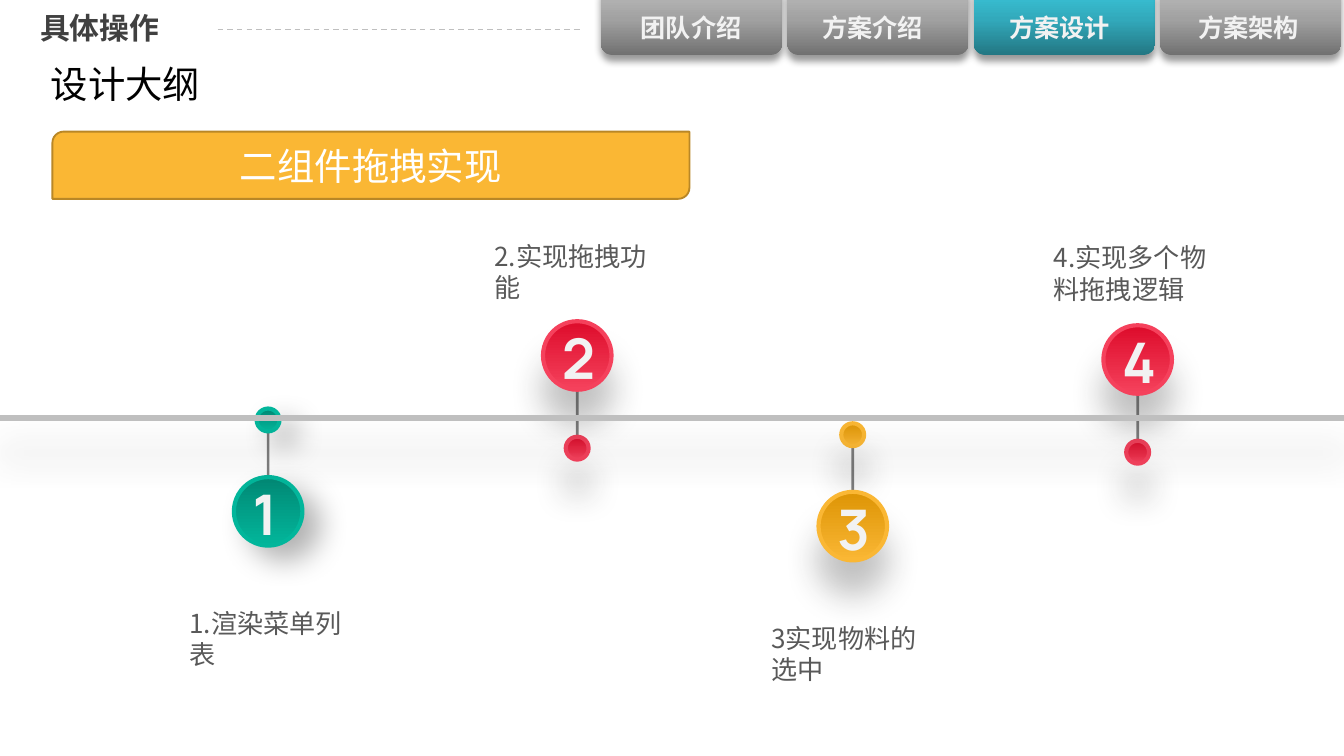
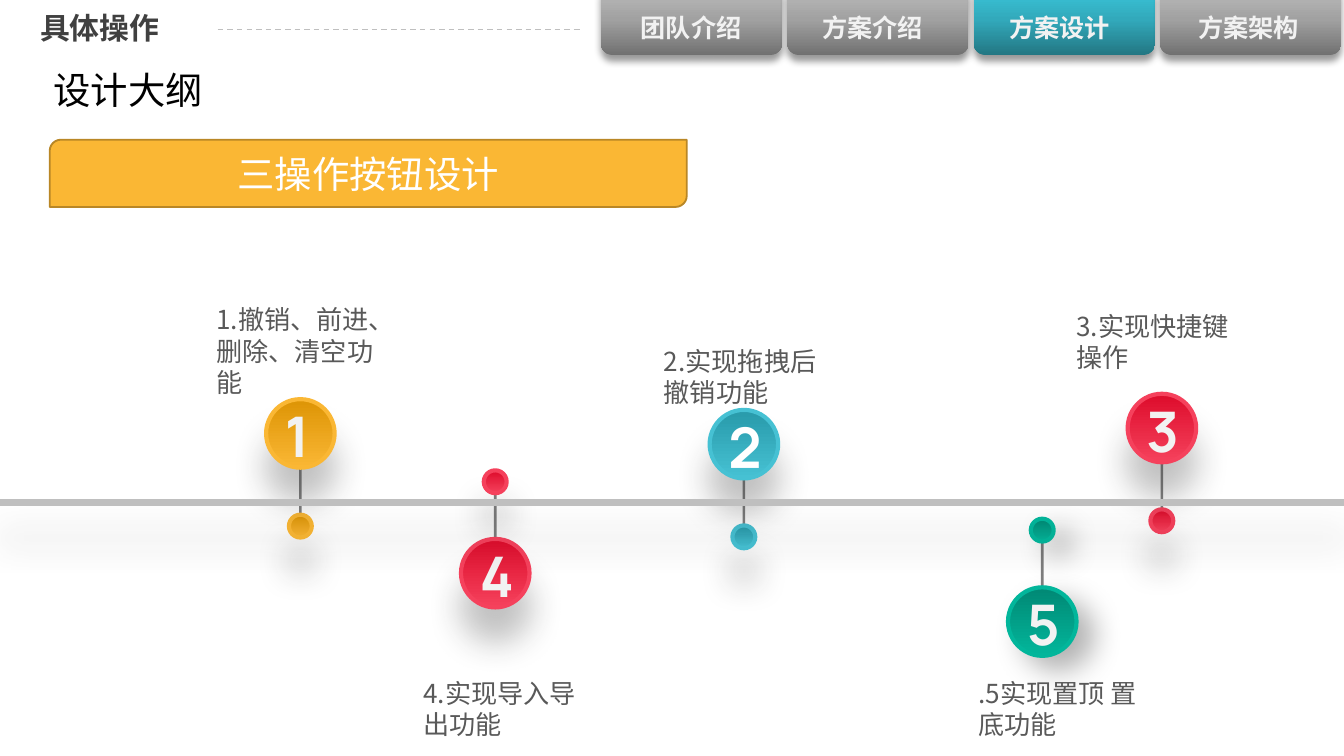
from dataclasses import dataclass

from lxml import etree
from pptx import Presentation
from pptx import util as u
from pptx.dml.color import RGBColor
from pptx.enum import dml, shapes, text
from pptx.oxml.ns import qn

WIDTH, HEIGHT = u.Inches(10), u.Inches(5.625)
COLUMNS = 100
CELL = WIDTH / COLUMNS
CJK = "Noto Sans CJK SC"


@dataclass(frozen=True)
class Hue:
    dark: str
    light: str
    digit: str = "F2F2F2"
    shadow: tuple = ("262626", 28, 18, 18, 90)


@dataclass(frozen=True)
class Type:
    size: float
    color: str
    face: str = CJK
    bold: bool = False


class Theme:
    red = Hue("DD0C2B", "F5415C")
    green = Hue("018874", "02B69B", shadow=("000000", 29, 16, 11, 40))
    amber = Hue("DD9405", "FAB734")
    blue = Hue("289AAA", "46C1D3", digit="FFFFFF")
    tab_idle = ("717171", "A1A1A1", "BFBFBF")
    tab_active = ("237783", "32A9BB", "3BC9DE")
    tab_shadow = ("000000", 40, 4, 3, 90)
    rail = "BFBFBF"
    stem = "808080"
    banner_edge = "B98726"
    title = Type(16, "404040", bold=True)
    tab = Type(13.5, "F2F2F2", bold=True)
    heading = Type(20, "000000")
    banner = Type(20, "FFFFFF", "Calibri")
    caption = Type(14, "595959")


TABS = [("团队介绍", 46.7), ("方案介绍", 60.2), ("方案设计", 74.1), ("方案架构", 88.2)]
ACTIVE_TAB = "方案设计"

SLIDES = [
    {
        "heading": (2.8, 4.1),
        "banner": (3.9, 9.8, "二组件拖拽实现"),
        "rail": 31,
        "steps": [
            ("2", Theme.red, 40.4, 23.9, True, (35.8, 17.4, "2.实现拖拽功能")),
            ("1", Theme.green, 17.4, 35.5, False, (13.1, 44.7, "1.渲染菜单列表")),
            ("3", Theme.amber, 60.9, 36.6, False, (56.4, 45.8, "3实现物料的选中")),
            ("4", Theme.red, 82.1, 24.2, True, (77.4, 17.5, "4.实现多个物料拖拽逻辑")),
        ],
    },
    {
        "heading": (3, 4.5),
        "banner": (3.7, 10.4, "三操作按钮设计"),
        "rail": 37.3,
        "steps": [
            ("1", Theme.amber, 19.8, 29.7, True, (15.1, 22.1, "1.撤销、前进、删除、清空功能")),
            ("2", Theme.blue, 52.8, 30.5, True, (48.4, 25.2, "2.实现拖拽后撤销功能")),
            ("3", Theme.red, 83.9, 29.3, True, (79.1, 22.6, "3.实现快捷键操作")),
            ("4", Theme.red, 34.3, 40.1, False, (30.5, 49.9, "4.实现导入导出功能")),
            ("5", Theme.green, 75, 43.7, False, (71.8, 49.9, ".5实现置顶 置底功能")),
        ],
    },
]


def cells(*counts):
    return [round(count * CELL) for count in counts]


def assign(target, values):
    for name, value in values.items():
        setattr(target, name, value)


def rgb(color):
    return RGBColor.from_string(color)


def write(frame, words, style, **layout):
    assign(frame, {"word_wrap": True, **layout})
    paragraph = frame.paragraphs[0]
    run = paragraph.add_run()
    run.text = words
    assign(run.font, {"size": u.Pt(style.size), "bold": style.bold, "name": style.face})
    run.font.color.rgb = rgb(style.color)
    etree.SubElement(run.font._element, qn("a:ea"), typeface=CJK)
    return paragraph


def label(parent, box, words, style, **layout):
    frame = parent.add_textbox(*cells(*box)).text_frame
    return write(frame, words, style,
                 **{"auto_size": text.MSO_AUTO_SIZE.SHAPE_TO_FIT_TEXT, **layout})


def paint_gradient(shape, colors, clockwise):
    shape.fill.gradient()
    shape.fill.gradient_angle = 360 - clockwise
    stops = shape._element.spPr.find(".//" + qn("a:gsLst"))
    for stop in list(stops):
        stops.remove(stop)
    for index, color in enumerate(colors):
        position = round(100000 * index / (len(colors) - 1))
        stop = etree.SubElement(stops, qn("a:gs"), pos=str(position))
        etree.SubElement(stop, qn("a:srgbClr"), val=color)


def cast_shadow(shape, color, opacity, blur, distance, angle):
    effects = shape._element.spPr.find(qn("a:effectLst"))
    shadow = etree.SubElement(
        effects, qn("a:outerShdw"), blurRad=str(u.Pt(blur)), dist=str(u.Pt(distance)),
        dir=str(angle * 60000), algn="ctr", rotWithShape="0")
    tint = etree.SubElement(shadow, qn("a:srgbClr"), val=color)
    etree.SubElement(tint, qn("a:alpha"), val=str(opacity * 1000))


def form(parent, kind, box, fill, clockwise=90, edge=None, weight=2.25, shadow=None):
    shape = parent.add_shape(kind, *cells(*box))
    shape.shadow.inherit = False
    if isinstance(fill, str):
        shape.fill.solid()
        shape.fill.fore_color.rgb = rgb(fill)
    else:
        paint_gradient(shape, fill, clockwise)
    if edge:
        shape.line.color.rgb = rgb(edge)
        shape.line.width = u.Pt(weight)
    else:
        shape.line.fill.background()
    if shadow:
        cast_shadow(shape, *shadow)
    return shape


def header(slide):
    for index, (name, _) in enumerate(TABS):
        colors = Theme.tab_active if name == ACTIVE_TAB else Theme.tab_idle
        form(slide.shapes, shapes.MSO_SHAPE.ROUNDED_RECTANGLE,
             (44.7 + 13.87 * index, -1.2, 13.5, 5.3), colors, 270, shadow=Theme.tab_shadow)
    for name, left in TABS:
        label(slide.shapes, (left, 0.4, 9.5, 3.3), name, Theme.tab, word_wrap=False)
    divider = slide.shapes.add_connector(
        shapes.MSO_CONNECTOR.STRAIGHT, *cells(16.2, 2.2, 43.4, 2.2))
    divider.line.color.rgb = rgb(Theme.rail)
    assign(divider.line, {"width": u.Pt(0.75), "dash_style": dml.MSO_LINE.DASH})
    etree.SubElement(divider._element.spPr, qn("a:effectLst"))
    title = label(slide.shapes, (2, 0.9, 86.2, 2.7), "具体操作", Theme.title,
                  auto_size=text.MSO_AUTO_SIZE.NONE,
                  vertical_anchor=text.MSO_ANCHOR.MIDDLE)
    title.line_spacing = 0.9


def marker(slide, number, hue, left, top, above):
    group = slide.shapes.add_group_shape().shapes
    stem_shift, stem_length, dot_shift = (2.6, 6.8, 8.6) if above else (-3.4, 6, -5.1)
    form(group, shapes.MSO_SHAPE.RECTANGLE,
         (left + 2.45, top + stem_shift, 0.2, stem_length), Theme.stem)
    for shift_x, shift_y, size in ((1.7, dot_shift, 1.7), (0, 0, 5.1)):
        form(group, shapes.MSO_SHAPE.OVAL, (left + shift_x, top + shift_y, size, size),
             (hue.dark, hue.light), edge=hue.light, shadow=hue.shadow)
    side, end = cells(0.7, 0.4)
    label(group, (left + 0.7, top - 0.2, 4.5, 5.8), number,
          Type(30, hue.digit, "Manrope", True), word_wrap=False,
          margin_left=side, margin_right=side, margin_top=end, margin_bottom=end)


def banner(slide, left, top, words):
    plate = form(slide.shapes, shapes.MSO_SHAPE.ROUND_2_DIAG_RECTANGLE,
                 (left, top, 47.4, 5), Theme.amber.light, edge=Theme.banner_edge, weight=1)
    line = write(plate.text_frame, words, Theme.banner,
                 vertical_anchor=text.MSO_ANCHOR.MIDDLE)
    line.alignment = text.PP_ALIGN.CENTER


def timeline(slide, top, steps):
    for number, hue, left, disc_top, above, _ in steps:
        marker(slide, number, hue, left, disc_top, above)
    for *_, (left, caption_top, words) in steps:
        label(slide.shapes, (left, caption_top, 14.5, 5.7), words, Theme.caption)
    form(slide.shapes, shapes.MSO_SHAPE.RECTANGLE, (0, top, COLUMNS, 0.2),
         (Theme.amber.dark, Theme.amber.light), edge=Theme.rail, shadow=Theme.amber.shadow)


def main():
    deck = Presentation()
    assign(deck, {"slide_width": WIDTH, "slide_height": HEIGHT})
    for content in SLIDES:
        slide = deck.slides.add_slide(deck.slide_layouts[6])
        header(slide)
        label(slide.shapes, (*content["heading"], 14, 4.4), "设计大纲", Theme.heading)
        banner(slide, *content["banner"])
        timeline(slide, content["rail"], content["steps"])
    deck.save("out.pptx")


if __name__ == "__main__":
    main()
